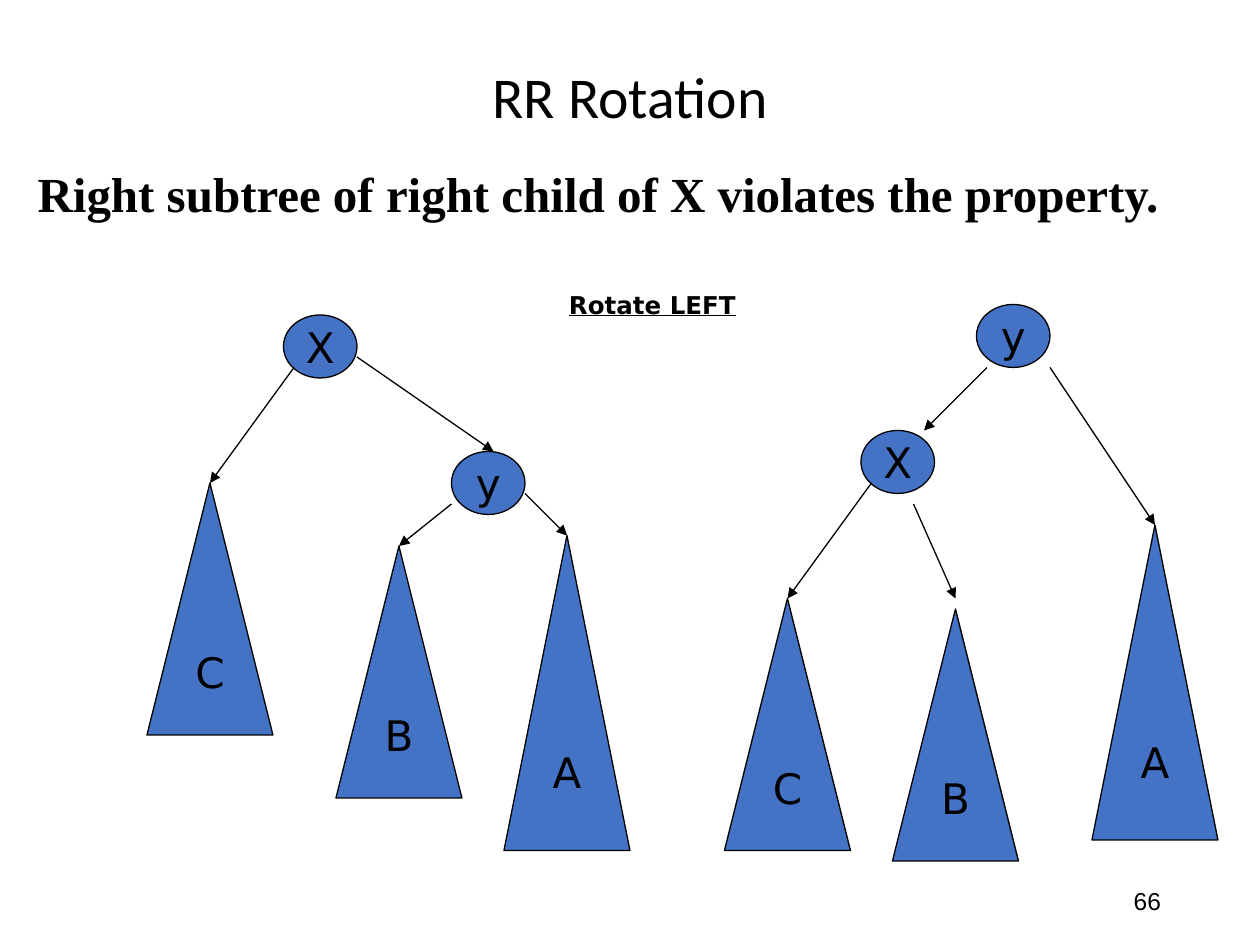
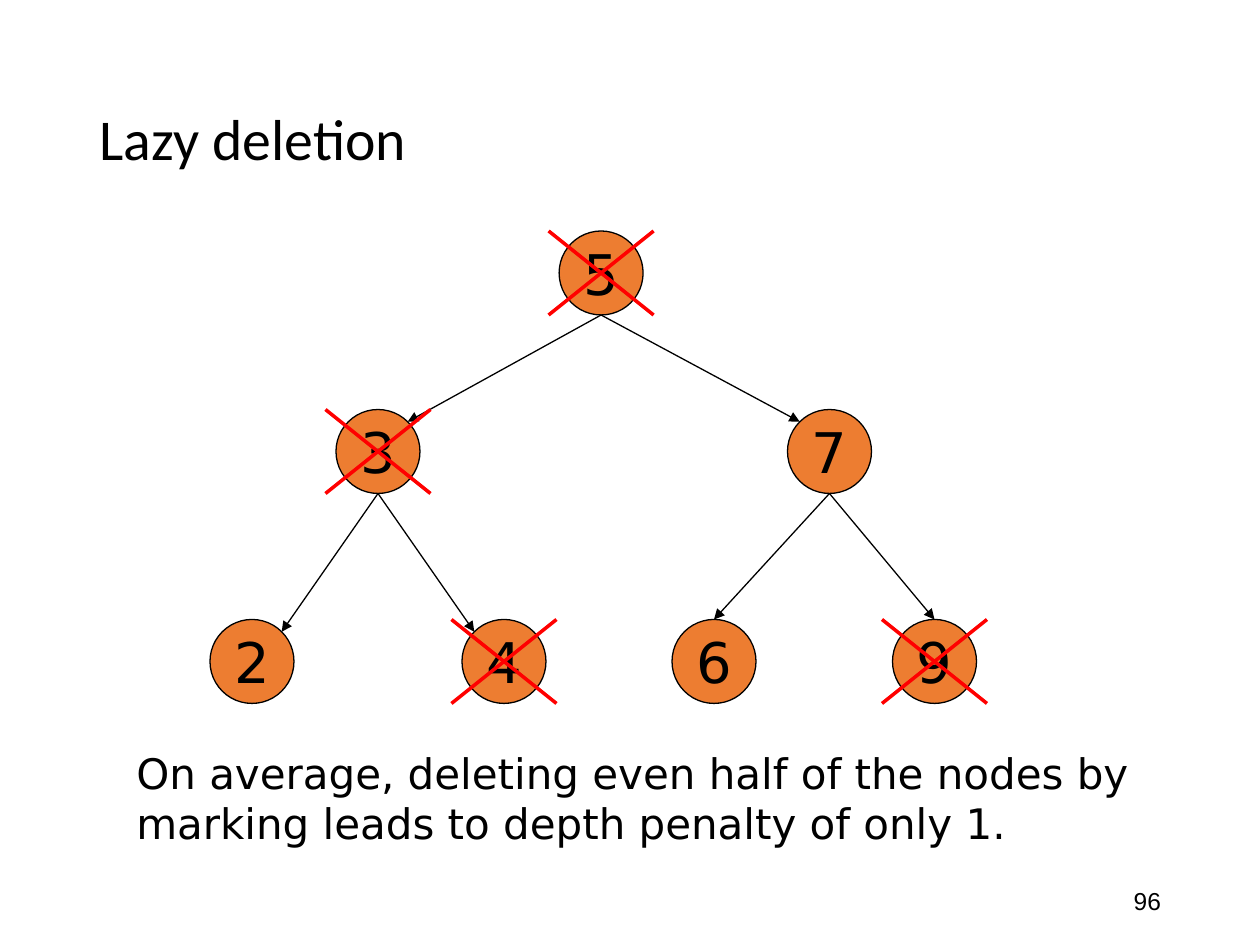
import math

import pptx
import pptx.dml.color
import pptx.enum.shapes
import pptx.enum.text
import pptx.oxml.ns
import pptx.util
from lxml import etree

RGBColor = pptx.dml.color.RGBColor
MSO_SHAPE = pptx.enum.shapes.MSO_SHAPE
PP_ALIGN = pptx.enum.text.PP_ALIGN
MSO_ANCHOR = pptx.enum.text.MSO_ANCHOR

BLACK = RGBColor(0x00, 0x00, 0x00)
BLUE = RGBColor(0x44, 0x72, 0xC4)
ORANGE = RGBColor(0xED, 0x7D, 0x31)
RED = RGBColor(0xFF, 0x00, 0x00)

TITLE_FONT = "Calibri"
HEADLINE_FONT = "Times New Roman"
LABEL_FONT = "DejaVu Sans"
NUMBER_FONT = "Arial"

# The slide is a grid of 120 columns by 90 rows; all lengths are in cells.
COLUMNS, ROWS = 120, 90
CELL = pptx.util.Inches(10) // COLUMNS
ROTATION_NODE = (7, 6)
SUBTREE_WIDTH = 12
KEY_SIZE = 8
CROSS_WIDTH = 10


def cells(*counts):
    return [round(count * CELL) for count in counts]


def write(frame, text, size, font, align=PP_ALIGN.LEFT, anchor=MSO_ANCHOR.TOP,
          wrap=True, bold=False, underline=False, spacing=None):
    frame.word_wrap = wrap
    frame.auto_size = pptx.enum.text.MSO_AUTO_SIZE.NONE
    frame.vertical_anchor = anchor
    paragraph = frame.paragraphs[0]
    paragraph.alignment = align
    if spacing:
        paragraph.line_spacing = spacing
    run = paragraph.add_run()
    run.text = text
    run.font.size = pptx.util.Pt(size)
    run.font.name = font
    run.font.color.rgb = BLACK
    run.font.bold = bold
    run.font.underline = underline


def add_text(slide, box, text, size, font, **style):
    frame = slide.shapes.add_textbox(*cells(*box)).text_frame
    write(frame, text, size, font, **style)
    return frame


def start_slide(deck, title, number, title_rows, align):
    """Add a slide with its title and page number."""
    slide = deck.slides.add_slide(deck.slide_layouts[5])
    heading = slide.shapes.title
    heading.left, heading.top, heading.width, heading.height = cells(
        8.25, 4.8, 103.5, title_rows)
    write(heading.text_frame, title, 33, TITLE_FONT, align=align,
          anchor=MSO_ANCHOR.MIDDLE, spacing=0.9)
    add_text(slide, (84.75, 83.4, 27, 4.8), number, 14, NUMBER_FONT,
             align=PP_ALIGN.RIGHT, anchor=MSO_ANCHOR.MIDDLE)
    return slide


def add_labelled(slide, preset, box, label, size, fill):
    shape = slide.shapes.add_shape(preset, *cells(*box))
    shape.shadow.inherit = False
    shape.fill.solid()
    shape.fill.fore_color.rgb = fill
    shape.line.color.rgb = BLACK
    shape.line.width = pptx.util.Pt(0.75)
    write(shape.text_frame, label, size, LABEL_FONT, align=PP_ALIGN.CENTER,
          anchor=MSO_ANCHOR.MIDDLE, wrap=False)
    return shape


def add_line(slide, start, end, color=BLACK, width=0.75):
    line = slide.shapes.add_connector(
        pptx.enum.shapes.MSO_CONNECTOR.STRAIGHT, *cells(*start, *end))
    line.line.color.rgb = color
    line.line.width = pptx.util.Pt(width)
    etree.SubElement(line._element.spPr, pptx.oxml.ns.qn("a:effectLst"))
    return line


def add_arrow(slide, start, end, target=None):
    """Draw an arrow, joined to the top of target if there is one."""
    arrow = add_line(slide, start, end)
    outline = arrow.line._get_or_add_ln()
    etree.SubElement(outline, pptx.oxml.ns.qn("a:tailEnd"), type="triangle")
    if target is not None:
        arrow.end_connect(target, 0)


def add_rotation_tree(slide, nodes, subtrees, node_links):
    """Draw nodes and subtrees; each subtree is (label, left, top, rows, link start, gap)."""
    for label, left, top in nodes:
        add_labelled(slide, MSO_SHAPE.OVAL, (left, top, *ROTATION_NODE),
                     label, 24, BLUE)
    for label, left, top, rows, start, gap in subtrees:
        subtree = add_labelled(slide, MSO_SHAPE.FLOWCHART_EXTRACT,
                               (left, top, SUBTREE_WIDTH, rows), label, 24, BLUE)
        apex = (left + SUBTREE_WIDTH / 2, top - gap)
        add_arrow(slide, start, apex, None if gap else subtree)
    for start, end in node_links:
        add_arrow(slide, start, end)


def add_cross(slide, center_x, top):
    left, right = center_x - CROSS_WIDTH / 2, center_x + CROSS_WIDTH / 2
    bottom = top + KEY_SIZE
    add_line(slide, (left, top), (right, bottom), RED, 2)
    add_line(slide, (left, bottom), (right, top), RED, 2)


def build_rotation(deck):
    slide = start_slide(deck, "RR Rotation", "66", 9.4, PP_ALIGN.CENTER)
    headline = add_text(
        slide, (2.4, 15, 110, 7),
        "Right subtree of right child of X violates the property.",
        28, HEADLINE_FONT, align=PP_ALIGN.JUSTIFY, bold=True, spacing=0.9)
    headline.margin_top = pptx.util.Inches(0.1)
    add_rotation_tree(
        slide,
        nodes=[("X", 27, 30), ("y", 43, 43)],
        subtrees=[("A", 48, 51, 30, (50, 47), 0),
                  ("B", 32, 52, 24, (43, 48), 0),
                  ("C", 14, 46, 24, (28, 35), 0)],
        node_links=[((34, 34), (47, 43))])
    add_text(slide, (53, 27, 22, 11.3), "Rotate LEFT", 14, LABEL_FONT,
             bold=True, underline=True)
    add_rotation_tree(
        slide,
        nodes=[("X", 82, 41), ("y", 93, 29)],
        subtrees=[("A", 104, 50, 30, (100, 35), 0),
                  ("B", 85, 58, 24, (87, 48), 1),
                  ("C", 69, 57, 24, (83, 46), 0)],
        node_links=[((94, 35), (88, 41))])


def build_lazy_deletion(deck):
    slide = start_slide(deck, "Lazy deletion", "96", 17.4, PP_ALIGN.LEFT)
    # key: center column, top row
    places = {"5": (57.25, 22), "3": (36, 39), "7": (79, 39),
              "2": (24, 59), "4": (48, 59), "6": (68, 59), "9": (89, 59)}
    radius = KEY_SIZE / 2
    keys = {key: add_labelled(slide, MSO_SHAPE.OVAL,
                              (x - radius, top, KEY_SIZE, KEY_SIZE),
                              key, 32, ORANGE)
            for key, (x, top) in places.items()}
    diagonal = radius * math.sqrt(0.5)
    for parent, child in ("53", "57", "32", "34", "76", "79"):
        parent_x, parent_top = places[parent]
        child_x, child_top = places[child]
        start = (parent_x, parent_top + KEY_SIZE)
        if parent == "7":
            add_arrow(slide, start, (child_x, child_top), keys[child])
        else:
            facing = math.copysign(diagonal, parent_x - child_x)
            add_arrow(slide, start,
                      (child_x + facing, child_top + radius - diagonal))
    for deleted in "3495":
        add_cross(slide, *places[deleted])
    add_text(slide, (11.8, 70.6, 98.2, 10.8),
             "On average, deleting even half of the nodes by marking leads to "
             "depth penalty of only 1.", 24, LABEL_FONT)


def main():
    deck = pptx.Presentation()
    deck.slide_width, deck.slide_height = cells(COLUMNS, ROWS)
    build_rotation(deck)
    build_lazy_deletion(deck)
    deck.save("out.pptx")


if __name__ == "__main__":
    main()
